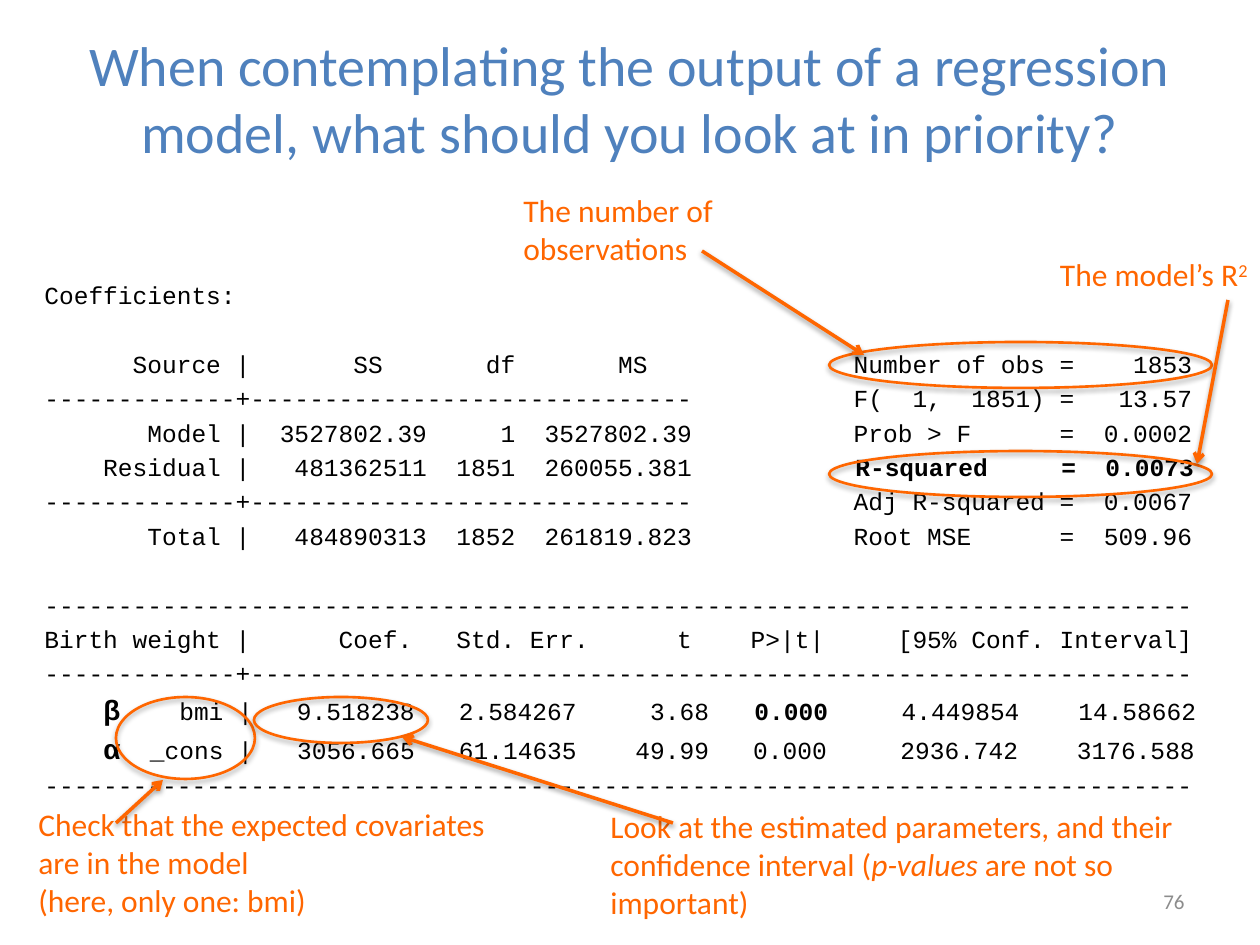
from lxml.etree import SubElement
from pptx import Presentation
from pptx.dml.color import RGBColor
from pptx.enum.shapes import MSO_CONNECTOR, MSO_SHAPE
from pptx.enum.text import MSO_ANCHOR, MSO_AUTO_SIZE, PP_ALIGN
from pptx.oxml.ns import qn
from pptx.util import Emu, Pt

COLORS = {"title": "4F81BD", "note": "FF6600", "ink": "000000", "number": "8C8C8C"}
PX = 914400 / 126

LINE_GAP = 2.85
BLOCK_GAP = 22.4  # one empty line of output plus the usual gap

HALF_RULE = "-" * 13 + "+" + "-" * 30 + " " * 11
FULL_RULE = "-" * 78
GREEK = {"size": 16, "font": "Arial", "bold": True}

# Each line of output: space before in points, then its spans
OUTPUT = [
    (0, ["Coefficients:"]),
    (BLOCK_GAP, ["      Source |       SS       df       MS              Number of obs =    1853"]),
    (LINE_GAP, [HALF_RULE + "F(  1,  1851) =   13.57"]),
    (LINE_GAP, ["       Model |  3527802.39     1  3527802.39           Prob > F      =  0.0002"]),
    (LINE_GAP, ["    Residual |   481362511  1851  260055.381           ",
                ("R-squared     =  0.0073", {"bold": True})]),
    (LINE_GAP, [HALF_RULE + "Adj R-squared =  0.0067"]),
    (LINE_GAP, ["       Total |   484890313  1852  261819.823           Root MSE      =  509.96"]),
    (BLOCK_GAP, [FULL_RULE]),
    (LINE_GAP, ["Birth weight |      Coef.   Std. Err.      t    P>|t|     [95% Conf. Interval]"]),
    (LINE_GAP, ["-" * 13 + "+" + "-" * 64]),
    (LINE_GAP, ["    ", ("β", GREEK), "    bmi |   9.518238   2.584267     3.68   ",
                ("0.000 ", {"bold": True}), "    4.449854    14.58662"]),
    (LINE_GAP, ["    ", ("α", GREEK),
                "  _cons |   3056.665   61.14635    49.99   0.000     2936.742    3176.588"]),
    (LINE_GAP, [FULL_RULE]),
]


def px(*values):
    return [Emu(round(value * PX)) for value in values]


def color(name):
    return RGBColor.from_string(COLORS[name])


def add_span(para, text, size=18, font="Calibri", ink="note", bold=False,
             italic=False, raised=False):
    span = para.add_run()
    span.text = text
    span.font.size = Pt(size)
    span.font.name = font
    span.font.bold = bold
    span.font.italic = italic
    span.font.color.rgb = color(ink)
    if raised:
        span.font._element.set("baseline", "30000")


def add_shadow(shape, opacity, distance):
    """Give the shape a soft shadow straight below it, distance in points."""
    effects = SubElement(shape._element.spPr, qn("a:effectLst"))
    shadow = SubElement(effects, qn("a:outerShdw"), blurRad=str(Pt(3.1)),
                        dist=str(Pt(distance)), dir="5400000", rotWithShape="0")
    black = SubElement(shadow, qn("a:srgbClr"), val=COLORS["ink"])
    SubElement(black, qn("a:alpha"), val=str(opacity * 1000))


class SlideBuilder:
    def __init__(self, page):
        self.page = page

    def title(self, text, left, top, width, height):
        box = self.page.shapes.title
        box.left, box.top, box.width, box.height = px(left, top, width, height)
        box.text_frame.vertical_anchor = MSO_ANCHOR.MIDDLE
        para = box.text_frame.paragraphs[0]
        para.alignment = PP_ALIGN.CENTER
        add_span(para, text, size=32, ink="title")

    def text(self, lines, left, top, width, height, align=PP_ALIGN.LEFT,
             anchor=MSO_ANCHOR.TOP, grow=True, **style):
        """Add a text box; each line is (space before, spans)."""
        frame = self.page.shapes.add_textbox(*px(left, top, width, height)).text_frame
        frame.word_wrap = True
        frame.vertical_anchor = anchor
        frame.auto_size = MSO_AUTO_SIZE.SHAPE_TO_FIT_TEXT if grow else MSO_AUTO_SIZE.NONE
        for index, (gap, spans) in enumerate(lines):
            para = frame.add_paragraph() if index else frame.paragraphs[0]
            para.alignment = align
            para.space_before = Pt(gap)
            for span in spans:
                text, extra = (span, {}) if isinstance(span, str) else span
                add_span(para, text, **{**style, **extra})

    def ring(self, left, top, width, height):
        ring = self.page.shapes.add_shape(MSO_SHAPE.OVAL, *px(left, top, width, height))
        ring.fill.background()
        ring.line.color.rgb = color("note")
        ring.line.width = Pt(1.5)
        add_shadow(ring, 35, 1.8)

    def arrow(self, *ends):
        arrow = self.page.shapes.add_connector(MSO_CONNECTOR.STRAIGHT, *px(*ends))
        arrow.line.color.rgb = color("note")
        arrow.line.width = Pt(2)
        SubElement(arrow.line._get_or_add_ln(), qn("a:tailEnd"), type="arrow")
        add_shadow(arrow, 38, 1.6)


def main():
    deck = Presentation()
    deck.slide_width, deck.slide_height = px(1260, 945)
    slide = SlideBuilder(deck.slides.add_slide(deck.slide_layouts[5]))

    slide.title("When contemplating the output of a regression model, "
                "what should you look at in priority?", 63, 19, 1134, 158)
    slide.text(OUTPUT, 32, 274, 1213, 308, grow=False,
               size=14, font="Courier New", ink="ink")

    slide.text([(0, ["The number of observations"])], 511, 185, 319, 89)
    slide.text([(0, ["Check that the expected covariates are in the model"]),
                (0, ["(here, only one: bmi)"])], 26, 799, 517, 127)
    slide.text([(0, ["Look at the estimated parameters, and their confidence interval (",
                     ("p-values", {"italic": True}), " are not so important)"])],
               598, 801, 648, 127)
    slide.text([(0, ["The model’s R", ("2", {"raised": True})])],
               941, 249, 319, 50, align=PP_ALIGN.RIGHT)

    for ring in [(829, 342, 383, 46), (116, 697, 139, 82),
                 (254, 697, 174, 46), (829, 451, 383, 46)]:
        slide.ring(*ring)
    for arrow in [(702, 251, 864, 355), (116, 823, 163, 780),
                  (673, 823, 402, 737), (1228, 300, 1197, 464)]:
        slide.arrow(*arrow)

    slide.text([(0, ["76"])], 903, 876, 294, 50, align=PP_ALIGN.RIGHT,
               anchor=MSO_ANCHOR.MIDDLE, grow=False, size=12, ink="number")
    deck.save("out.pptx")


if __name__ == "__main__":
    main()
